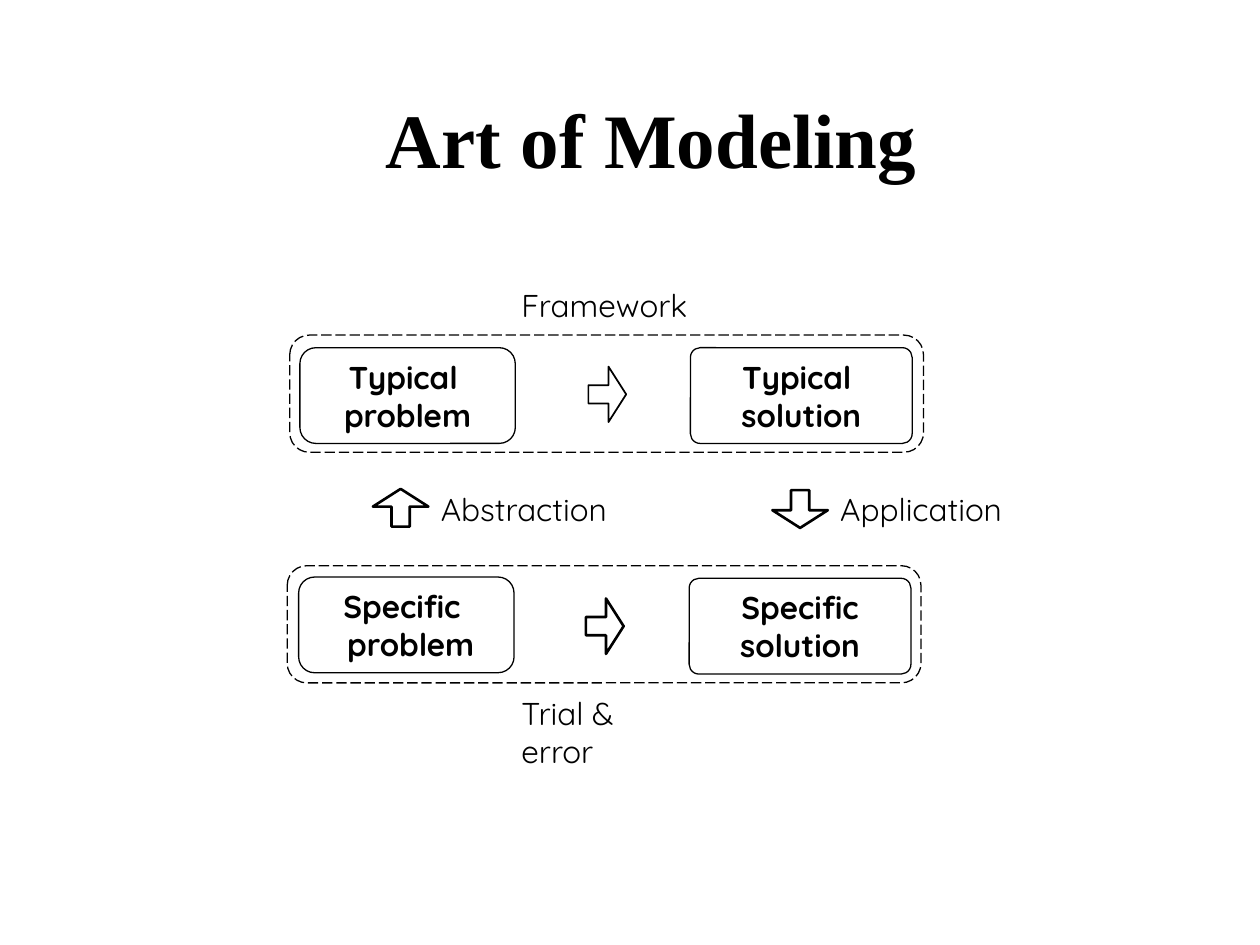
from dataclasses import dataclass

from pptx import Presentation
from pptx.dml.color import RGBColor
from pptx.enum import dml, shapes, text
from pptx.util import Inches, Pt


@dataclass(frozen=True)
class Theme:
    ink: RGBColor = RGBColor(0, 0, 0)
    title_font: str = "Times New Roman"
    body_font: str = "Quicksand"
    title_size: int = 44
    body_size: int = 18
    thin_line: float = 0.75


THEME = Theme()
ARROW_ADJUSTMENTS = (0.328, 0.468)
FRAME_SIZE = (5.03, 0.93)
PROBLEM_SIZE = (1.71, 0.76)
SOLUTION_SIZE = (1.76, 0.76)
ARROW_SIZE = (0.3, 0.44)


def add_outline(slide, kind, position, size, adjustments, width=THEME.thin_line):
    """Add an unfilled preset shape with a black outline."""
    shape = slide.shapes.add_shape(kind, *map(Inches, (*position, *size)))
    shape.shadow.inherit = False
    shape.fill.background()
    shape.line.color.rgb = THEME.ink
    shape.line.width = Pt(width)
    for index, value in enumerate(adjustments):
        shape.adjustments[index] = value
    return shape


def write_lines(frame, lines, font_name, size, bold, alignment):
    for index, line in enumerate(lines):
        paragraph = frame.paragraphs[0] if index == 0 else frame.add_paragraph()
        paragraph.text = line
        paragraph.alignment = alignment
        font = paragraph.font
        font.name = font_name
        font.size = Pt(size)
        font.bold = bold
        font.color.rgb = THEME.ink


def add_frame(slide, position):
    frame = add_outline(slide, shapes.MSO_SHAPE.ROUNDED_RECTANGLE,
                        position, FRAME_SIZE, [0.167])
    frame.line.dash_style = dml.MSO_LINE.LONG_DASH


def add_node(slide, position, size, rounding, lines):
    node = add_outline(slide, shapes.MSO_SHAPE.ROUNDED_RECTANGLE,
                       position, size, [rounding])
    node.text_frame.word_wrap = False
    node.text_frame.vertical_anchor = text.MSO_ANCHOR.MIDDLE
    write_lines(node.text_frame, lines, THEME.body_font, THEME.body_size,
                True, text.PP_ALIGN.CENTER)


def add_arrow(slide, position, rotation=0, width=1.5):
    arrow = add_outline(slide, shapes.MSO_SHAPE.RIGHT_ARROW, position,
                        ARROW_SIZE, ARROW_ADJUSTMENTS, width)
    arrow.rotation = rotation


def add_label(slide, position, width, label):
    box = slide.shapes.add_textbox(*map(Inches, (*position, width, 0.4)))
    box.text_frame.word_wrap = True
    write_lines(box.text_frame, [label], THEME.body_font, THEME.body_size,
                False, text.PP_ALIGN.LEFT)


def add_title(slide, title):
    box = slide.shapes.add_textbox(*map(Inches, (0.67, 0.47, 9, 1.25)))
    box.text_frame.word_wrap = True
    box.text_frame.vertical_anchor = text.MSO_ANCHOR.MIDDLE
    write_lines(box.text_frame, [title], THEME.title_font, THEME.title_size,
                True, text.PP_ALIGN.CENTER)


def main():
    presentation = Presentation()
    presentation.slide_width = Inches(10)
    presentation.slide_height = Inches(7.5)
    slide = presentation.slides.add_slide(presentation.slide_layouts[6])

    add_title(slide, "Art of Modeling")

    for position in ((2.3, 2.66), (2.28, 4.49)):
        add_frame(slide, position)

    for position, lines in (
        ((2.38, 2.76), ("Typical ", "problem")),
        ((2.37, 4.58), ("Specific ", " problem")),
    ):
        add_node(slide, position, PROBLEM_SIZE, 0.167, lines)

    for position, lines in (
        ((5.48, 2.76), ("Typical ", "solution")),
        ((5.47, 4.59), (" Specific ", "solution")),
    ):
        add_node(slide, position, SOLUTION_SIZE, 0.102, lines)

    add_arrow(slide, (4.67, 2.91), width=1)
    add_arrow(slide, (4.65, 4.75))
    add_arrow(slide, (3.03, 3.81), rotation=270)
    add_arrow(slide, (6.2, 3.82), rotation=90)

    for position, width, label in (
        ((4.04, 2.22), 1.55, "Framework"),
        ((3.4, 3.84), 1.61, "Abstraction"),
        ((6.57, 3.84), 1.62, "Application"),
        ((4.04, 5.46), 1.53, "Trial & error"),
    ):
        add_label(slide, position, width, label)

    presentation.save("out.pptx")


if __name__ == "__main__":
    main()
